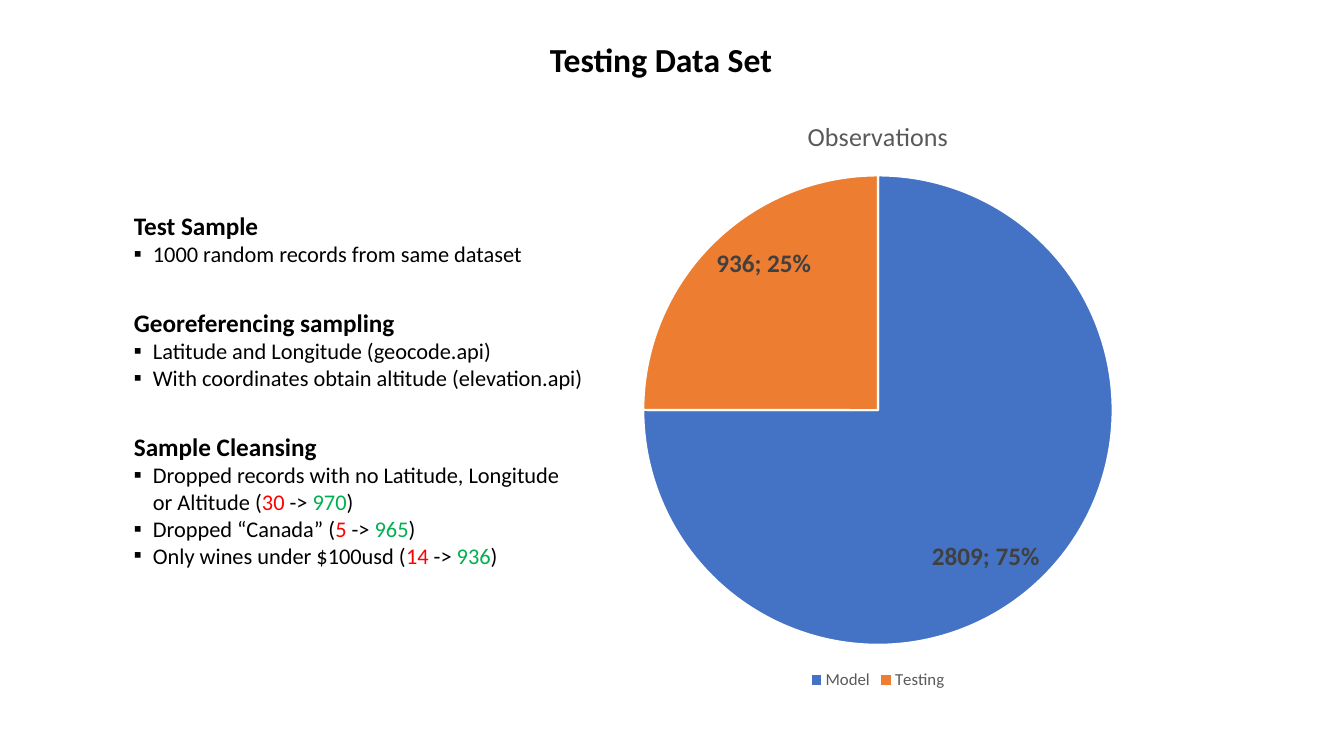
from lxml import etree
from pptx import Presentation
from pptx import util as u
from pptx.chart.data import CategoryChartData
from pptx.dml.color import RGBColor
from pptx.enum import chart as charts, text
from pptx.oxml import ns

COLORS = {
    "ink": "000000",
    "dropped": "FF0000",
    "kept": "00B050",
    "muted": "595959",
    "label": "404040",
    "model": "4472C4",
    "testing": "ED7D31",
    "white": "FFFFFF",
}
PIECE_COLORS = ["ink", "dropped", "ink", "kept", "ink"]


def px(length):
    """Turn slide pixels into EMU."""
    return u.Emu(round(length * 914400 / 100.8))


class DeckSlide:
    """Draw styled elements on one blank slide."""

    font_name = "Calibri"
    indent = 19

    def __init__(self, deck):
        self.slide = deck.slides.add_slide(deck.slide_layouts[6])

    def style(self, font, size, color="ink", bold=False):
        font.name = self.font_name
        font.size = u.Pt(size)
        font.bold = bold
        font.color.rgb = RGBColor.from_string(COLORS[color])

    def text_frame(self, left, top, width, height):
        frame = self.slide.shapes.add_textbox(*map(px, (left, top, width, height))).text_frame
        frame.word_wrap = True
        frame.auto_size = text.MSO_AUTO_SIZE.SHAPE_TO_FIT_TEXT
        return frame

    def heading(self, wording, left, top, width, height):
        frame = self.text_frame(left, top, width, height)
        frame.text = wording
        frame.paragraphs[0].alignment = text.PP_ALIGN.CENTER
        self.style(frame.paragraphs[0].runs[0].font, 24, bold=True)

    def section(self, heading, bullets, left, top, width, height):
        frame = self.text_frame(left, top, width, height)
        frame.text = heading
        self.style(frame.paragraphs[0].runs[0].font, 18, bold=True)
        for pieces in bullets:
            self.bullet(frame.add_paragraph(), pieces)

    def bullet(self, paragraph, pieces):
        properties = paragraph._p.get_or_add_pPr()
        properties.set("marL", str(px(self.indent)))
        properties.set("indent", str(-px(self.indent)))
        etree.SubElement(properties, ns.qn("a:buFont")).set("typeface", self.font_name)
        etree.SubElement(properties, ns.qn("a:buChar")).set("char", "▪")
        for piece, color in zip(pieces, PIECE_COLORS):
            run = paragraph.add_run()
            run.text = piece
            self.style(run.font, 16, color)

    def pie(self, title, slices, left, top, width, height):
        data = CategoryChartData()
        data.categories = [name for name, _, _ in slices]
        data.add_series(title, [count for _, count, _ in slices])
        pie = self.slide.shapes.add_chart(
            charts.XL_CHART_TYPE.PIE, *map(px, (left, top, width, height)), data
        ).chart
        self.style(pie.font, 10)
        pie.has_title = True
        pie.chart_title.text_frame.text = title
        self.style(pie.chart_title.text_frame.paragraphs[0].runs[0].font, 18.6, "muted")
        pie.has_legend = True
        pie.legend.position = charts.XL_LEGEND_POSITION.BOTTOM
        pie.legend.include_in_layout = False
        self.style(pie.legend.font, 12, "muted")
        pie.plots[0].vary_by_categories = True

        series = pie.plots[0].series[0]
        for index, (_, _, color) in enumerate(slices):
            look = series.points[index].format
            look.fill.solid()
            look.fill.fore_color.rgb = RGBColor.from_string(COLORS[color])
            look.line.color.rgb = RGBColor.from_string(COLORS["white"])
            look.line.width = u.Pt(1.5)

        labels = series.data_labels
        labels.show_value = True
        labels.show_percentage = True
        labels.position = charts.XL_LABEL_POSITION.INSIDE_END
        self.style(labels.font, 18, "label", bold=True)
        separator = etree.Element(ns.qn("c:separator"))
        separator.text = "; "
        labels._element.find(ns.qn("c:showBubbleSize")).addnext(separator)


def main():
    """Build and save the testing data slide."""
    deck = Presentation()
    deck.slide_width, deck.slide_height = px(1344), px(756)
    page = DeckSlide(deck)
    page.heading("Testing Data Set", 264, 34, 794, 50)
    page.section(
        "Test Sample", [["1000 random records from same dataset"]], 124, 205, 496, 68
    )
    page.section(
        "Georeferencing sampling",
        [
            ["Latitude and Longitude (geocode.api)"],
            ["With coordinates obtain altitude (elevation.api)"],
        ],
        124, 302, 496, 95,
    )
    page.section(
        "Sample Cleansing",
        [
            ["Dropped records with no Latitude, Longitude or Altitude (", "30 ", "-> ", "970", ")"],
            ["Dropped “Canada” (", "5", " -> ", "965", ")"],
            ["Only wines under $100usd (", "14 ", "-> ", "936", ")"],
        ],
        124, 426, 461, 149,
    )
    page.pie(
        "Observations",
        [("Model", 2809, "model"), ("Testing", 936, "testing")],
        430, 96, 896, 598,
    )
    deck.save("out.pptx")


if __name__ == "__main__":
    main()
